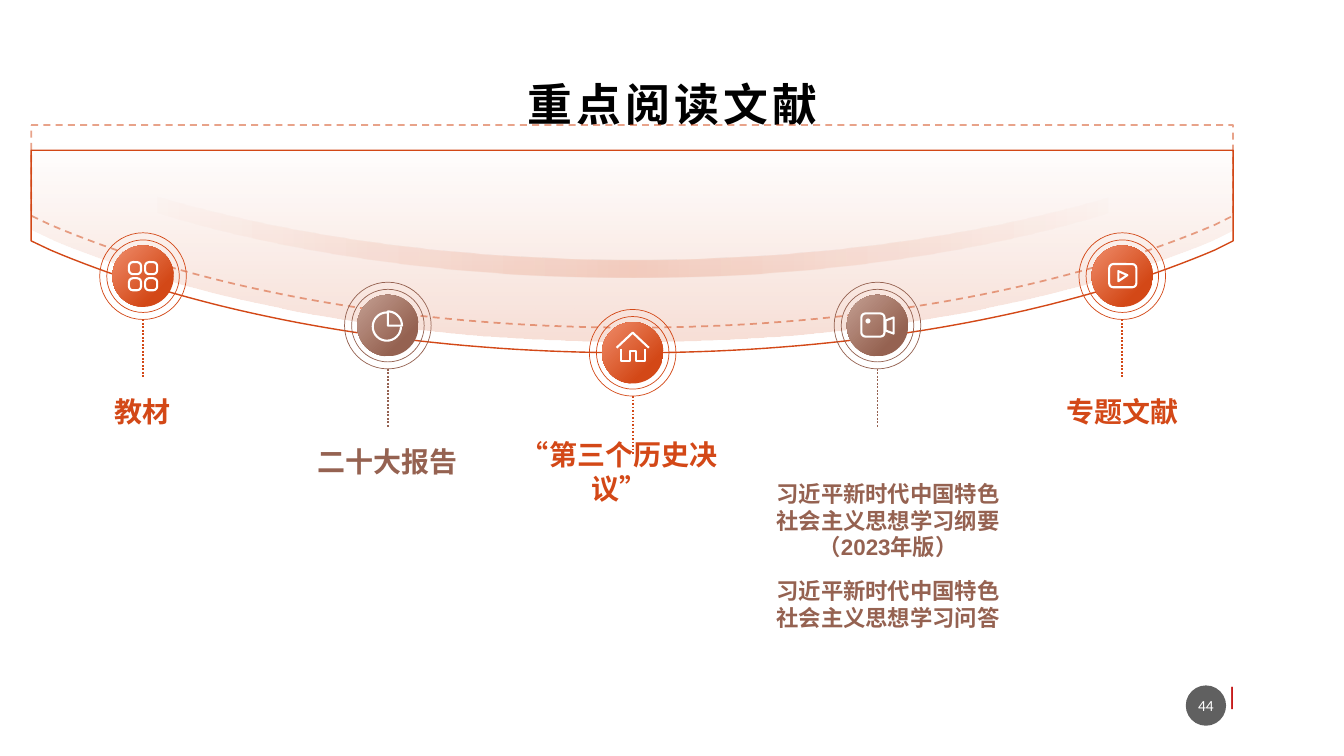
import math
import pptx
import pptx.util
import pptx.dml.color
import pptx.enum.dml
import pptx.enum.shapes
import pptx.enum.text
import pptx.oxml
import pptx.oxml.ns

Inches, Pt = pptx.util.Inches, pptx.util.Pt
RGBColor = pptx.dml.color.RGBColor
SHAPE = pptx.enum.shapes.MSO_SHAPE
DASH = pptx.enum.dml.MSO_LINE
ANCHOR = pptx.enum.text.MSO_ANCHOR
CENTER = pptx.enum.text.PP_ALIGN.CENTER
qn = pptx.oxml.ns.qn

ORANGE, PEACH = RGBColor(0xD3, 0x48, 0x17), RGBColor(0xEF, 0x8C, 0x6A)
BROWN, TAN = RGBColor(0x95, 0x62, 0x51), RGBColor(0xC4, 0x9F, 0x92)
BLACK, WHITE = RGBColor(0, 0, 0), RGBColor(0xFF, 0xFF, 0xFF)
RED, GRAY = RGBColor(0xC0, 0, 0), RGBColor(0x1D, 0x1D, 0x1D)
CJK = "Noto Sans CJK SC"


def arc(x, y, radius, start, end):
    """Points on a circle, angles in degrees clockwise from the right."""
    angles = [math.radians(start + (end - start) * i / 24) for i in range(25)]
    return [(x + radius * math.cos(a), y + radius * math.sin(a)) for a in angles]


# Content: text, label box (left, top, width, height), text size
TITLE, PAGE = "重点阅读文献", "44"
READINGS = [
    (["教材"], (0.6, 3.85, 1.64, 0.4), 20),
    (["二十大报告"], (3.03, 4.34, 1.64, 0.4), 20),
    (["“第三个历史决议”"], (5, 4.61, 2.29, 0.4), 20),
    (["习近平新时代中国特色社会主义思想学习纲要（2023年版）",
      "习近平新时代中国特色社会主义思想学习问答"], (7.69, 4.46, 2.25, 1.8), 16),
    (["专题文献"], (10.32, 3.85, 1.64, 0.4), 20),
]
NODE_X, NODE_STEP = 1.42, 2.43
NODE_Y = [2.74, 3.23, 3.5, 3.23, 2.74]
DISC, RINGS = 0.61, (0.72, 0.86)

# Icon strokes around the node centre: boxes, open lines, closed lines, dots
ICONS = [
    {"box": [(x, y, 0.12, 0.12) for x in (-0.14, 0.02) for y in (-0.14, 0.02)]},
    {"open": [arc(-0.01, 0.01, 0.14, 0, 270)],
     "closed": [[(0, 0)] + arc(0, 0, 0.14, -90, 0)]},
    {"open": [[(-0.16, -0.05), (0, -0.2), (0.16, -0.05)],
              [(-0.12, -0.04), (-0.12, 0.08), (-0.03, 0.08), (-0.03, -0.02),
               (0.03, -0.02), (0.03, 0.08), (0.12, 0.08), (0.12, -0.04)]]},
    {"box": [(-0.16, -0.12, 0.23, 0.23)], "dot": [(-0.12, -0.07, 0.05, 0.05)],
     "closed": [[(0.08, -0.05), (0.16, -0.08), (0.16, 0.08), (0.08, 0.05)]]},
    {"box": [(-0.13, -0.12, 0.27, 0.23)],
     "closed": [[(-0.04, -0.05), (0.05, -0.01), (-0.04, 0.05)]]},
]

# Outlines: two numbers make a corner, six make a curve
RIM = [(12.06, 2.23), (10.58, 2.86, 8.54, 3.25, 6.28, 3.25),
       (4.02, 3.25, 1.98, 2.86, 0.5, 2.23), (0.31, 2.14)]
BOWL = [(0.31, 1.24), (12.24, 1.24), (12.24, 2.14)] + RIM
CRESCENT = [(0.31, 1.49), (0.42, 1.54), (1.93, 2.18, 4, 2.57, 6.29, 2.57),
            (8.59, 2.57, 10.66, 2.18, 12.16, 1.54), (12.24, 1.5), (12.24, 1.64)]
CRESCENT += [tuple(v - 0.5 * (i % 2) for i, v in enumerate(step)) for step in RIM]

deck = pptx.Presentation()
deck.slide_width, deck.slide_height = Inches(13.34), Inches(7.5)
slide = deck.slides.add_slide(deck.slide_layouts[6])


def trace(steps, dy=0):
    """Turn corners and curves into points, moved down by dy."""
    points = []
    for step in steps:
        if len(step) == 2:
            points.append(step)
            continue
        (x0, y0), (x1, y1, x2, y2, x3, y3) = points[-1], step
        for t in (i / 40 for i in range(1, 41)):
            a, b, c, d = (1 - t) ** 3, 3 * t * (1 - t) ** 2, 3 * t * t * (1 - t), t ** 3
            points.append((a * x0 + b * x1 + c * x2 + d * x3,
                           a * y0 + b * y1 + c * y2 + d * y3))
    return [(x, y + dy) for x, y in points]


def set_alpha(holder, percent):
    for color in holder.iter(qn("a:srgbClr")):
        color.makeelement(qn("a:alpha"))
        pptx.oxml.ns  # namespace registry used by qn
        color.append(color.makeelement(qn("a:alpha"), {"val": str(percent * 1000)}))


def set_gradient(shape, stops, angle=None):
    """Stops are (position, colour, opacity); no angle means from the top left."""
    shape.fill.gradient()
    grad = shape._element.spPr.find(qn("a:gradFill"))
    listed = "".join(
        f'<a:gs pos="{pos * 1000}"><a:srgbClr val="{color}">'
        f'<a:alpha val="{alpha * 1000}"/></a:srgbClr></a:gs>' for pos, color, alpha in stops)
    way = (f'<a:lin ang="{angle * 60000}" scaled="0"/>' if angle is not None else
           '<a:path path="circle"><a:fillToRect r="100000" b="100000"/></a:path>')
    fresh = pptx.oxml.parse_xml(
        f'<a:gradFill {pptx.oxml.ns.nsdecls("a")} rotWithShape="1">'
        f'<a:gsLst>{listed}</a:gsLst>{way}</a:gradFill>')
    grad.getparent().replace(grad, fresh)


def finish(shape, fill=None, line=None, width=1.0):
    shape.shadow.inherit = False
    for part, color in ((shape.fill, fill), (shape.line.fill, line)):
        if color is None:
            part.background()
        else:
            part.solid()
            part.fore_color.rgb = color
    if line is not None:
        shape.line.width = Pt(width)
    return shape


def preset(kind, box, **look):
    return finish(slide.shapes.add_shape(kind, *map(Inches, box)), **look)


def outline(points, close=True, **look):
    points = [(Inches(x), Inches(y)) for x, y in points]
    builder = slide.shapes.build_freeform(*points[0])
    builder.add_line_segments(points[1:], close=close)
    return finish(builder.convert_to_shape(), **look)


def around(x, y, size):
    return x - size / 2, y - size / 2, size, size


def write(shape, texts, color, font, frame, spacing=0, before=0):
    for name, value in frame.items():
        setattr(shape.text_frame, name, value)
    for i, text in enumerate(texts):
        para = shape.text_frame.paragraphs[0] if i == 0 else shape.text_frame.add_paragraph()
        para.alignment, para.space_before = CENTER, Pt(before)
        run = para.add_run()
        run.text = text
        for name, value in font.items():
            setattr(run.font, name, value)
        run.font.color.rgb = color
        props = run.font._element
        props.append(props.makeelement(qn("a:ea"), {"typeface": CJK}))
        if spacing:
            props.set("spc", str(spacing * 100))


def textbox(box, *content, **options):
    write(slide.shapes.add_textbox(*map(Inches, box)), *content, **options)


# Page number and title
textbox((12.04, 6.7, 0.38, 0.4), ["|"], RED, {"size": Pt(18), "name": "Calibri"},
        {"word_wrap": False})
badge = preset(SHAPE.OVAL, (11.77, 6.8, 0.4, 0.4), fill=GRAY)
set_alpha(badge._element.spPr, 70)
write(badge, [PAGE], WHITE, {"size": Pt(11), "name": "Calibri"},
      {"vertical_anchor": ANCHOR.MIDDLE, "margin_left": Inches(0.02),
       "margin_right": Inches(0.02)})
textbox((3.81, 0.71, 5.73, 0.65), [TITLE], BLACK,
        {"size": Pt(32), "bold": True, "name": CJK},
        {"word_wrap": True, "margin_bottom": 0}, spacing=3)

# Bowl: dashed rim, solid rim, tinted body
dashed = outline(trace(BOWL), line=ORANGE, width=1.25)
dashed.line.dash_style = DASH.DASH
set_alpha(dashed._element.spPr, 50)
outline(trace(BOWL, 0.25), line=ORANGE)
set_gradient(outline(trace(BOWL, 0.14)), [(0, ORANGE, 0), (100, ORANGE, 18)], 90)

# Nodes with icon, label and dotted stem
label_frame = {"word_wrap": True, "vertical_anchor": ANCHOR.BOTTOM, "margin_left": 0,
               "margin_right": 0, "margin_top": 0, "margin_bottom": 0}
for i, ((texts, label_box, size), y, icon) in enumerate(zip(READINGS, NODE_Y, ICONS)):
    x = NODE_X + NODE_STEP * i
    dark, light = (BROWN, TAN) if i % 2 else (ORANGE, PEACH)
    disc = preset(SHAPE.OVAL, around(x, y, DISC))
    set_gradient(disc, [(0, light, 100), (75, dark, 100)])
    for ring in RINGS:
        preset(SHAPE.OVAL, around(x, y, ring), line=dark, width=0.5)
    for left, top, w, h in icon.get("box", []):
        cell = preset(SHAPE.ROUNDED_RECTANGLE, (x + left, y + top, w, h), line=WHITE, width=1.5)
        cell.adjustments[0] = 0.04 / min(w, h)
    for left, top, w, h in icon.get("dot", []):
        preset(SHAPE.OVAL, (x + left, y + top, w, h), fill=WHITE)
    for kind in ("open", "closed"):
        for stroke in icon.get(kind, []):
            outline([(x + dx, y + dy) for dx, dy in stroke], kind == "closed",
                    line=WHITE, width=1.5)
    textbox(label_box, texts, dark, {"size": Pt(size), "bold": True, "name": "Arial"},
            label_frame, before=12 if len(texts) > 1 else 0)
    stem = slide.shapes.add_connector(pptx.enum.shapes.MSO_CONNECTOR.STRAIGHT,
                                      *map(Inches, (x, y + 0.43, x, y + 1.01)))
    stem.line.color.rgb, stem.line.width = dark, Pt(1.25)
    stem.line.dash_style = DASH.ROUND_DOT
    props = stem._element.spPr
    props.append(props.makeelement(qn("a:effectLst")))

# Crescent sheen
set_gradient(outline(trace(CRESCENT)),
             [(10, ORANGE, 0), (50, ORANGE, 18), (90, ORANGE, 0)], 0)

deck.save("out.pptx")
